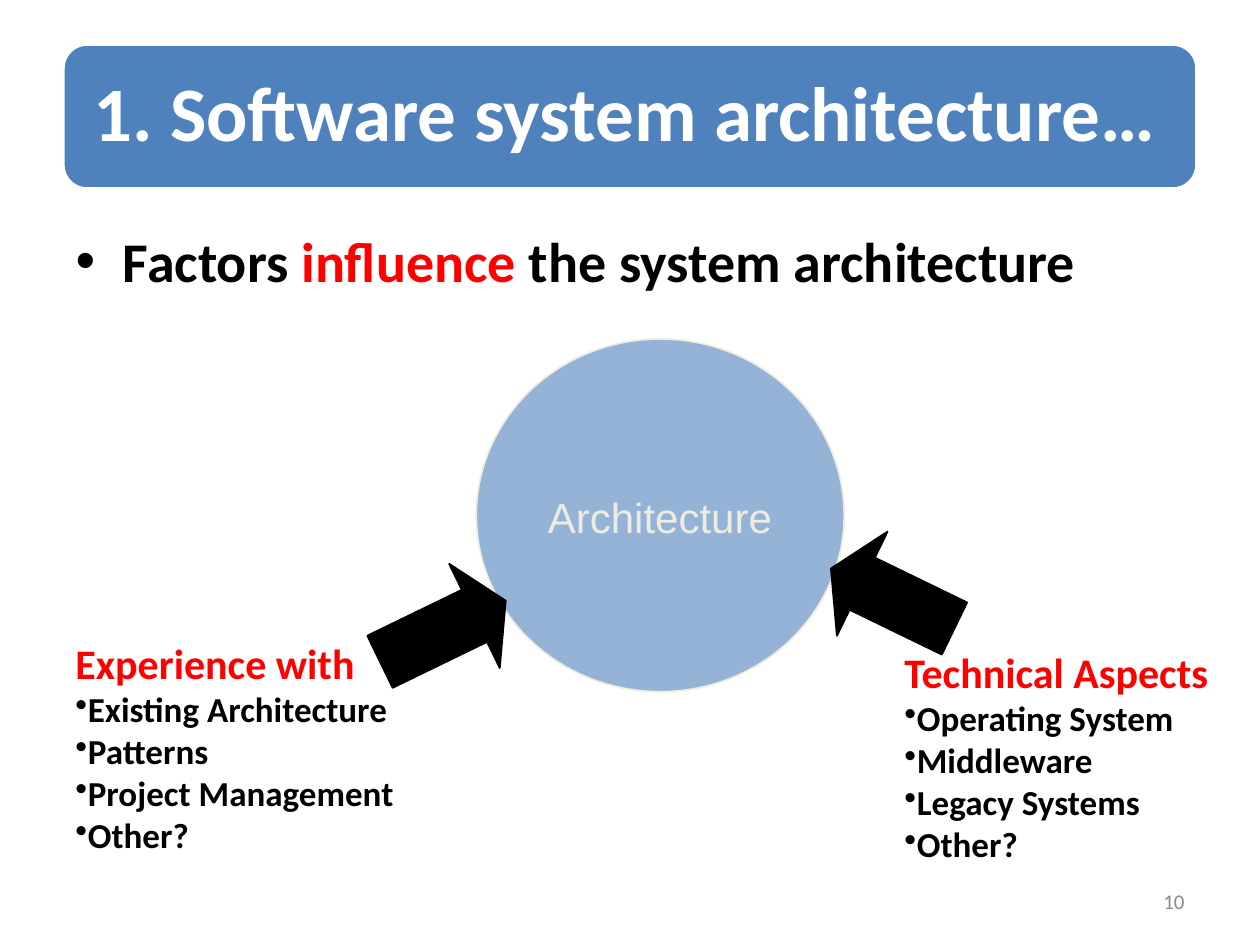
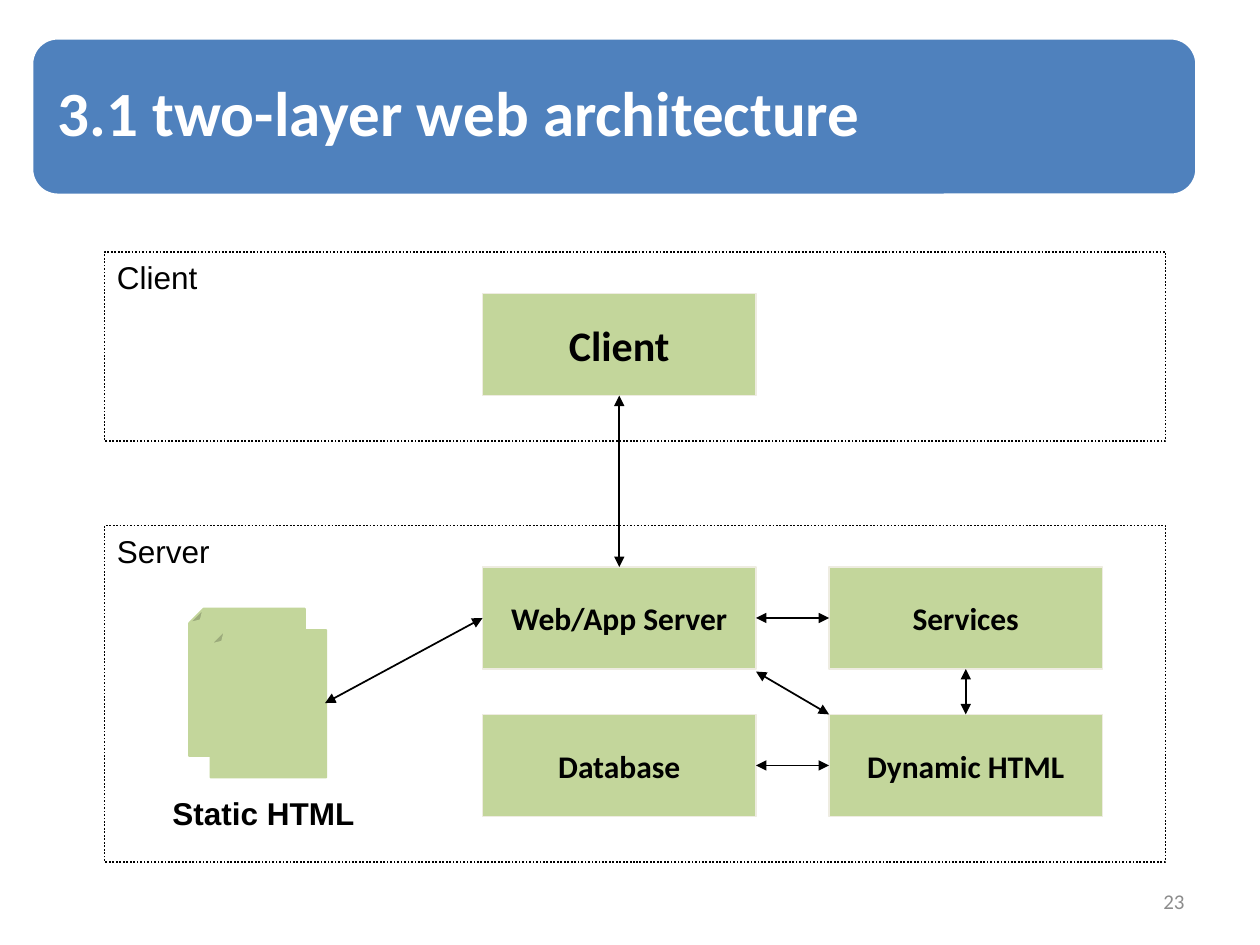
import pptx
import pptx.dml.color
import pptx.enum.dml
import pptx.enum.shapes
import pptx.enum.text
import pptx.oxml.ns
import pptx.util
from lxml import etree

Inches = pptx.util.Inches
Pt = pptx.util.Pt
SHAPE = pptx.enum.shapes.MSO_SHAPE
ALIGN = pptx.enum.text.PP_ALIGN
MIDDLE = pptx.enum.text.MSO_ANCHOR.MIDDLE
AUTO = pptx.enum.text.MSO_AUTO_SIZE
qn = pptx.oxml.ns.qn

COLORS = {
    "band": "4F81BD", "white": "FFFFFF", "black": "000000", "accent": "FF0000",
    "number": "8C8C8C", "circle": "95B3D7", "cream": "EEECE1", "node": "C3D69B",
}

FACTORS = {
    "title": "1. Software system architecture…", "size": 44, "inset": 0.18,
    "band": (0.5, 0.35, 9, 1.15), "number": "10",
}
STATEMENT = [("Factors", "black"), (" influence", "accent"),
             (" the system architecture", "black")]
INFLUENCES = [
    ("Experience with",
     ["Existing Architecture", "Patterns", "Project Management", "Other?"],
     (0.5, 5.01, 2.79, 1.85), (2.96, 4.55, 1.11, 0.92), 334.1),
    ("Technical Aspects",
     ["Operating System", "Middleware", "Legacy Systems", "Other?"],
     (7.08, 5.08, 2.67, 1.85), (6.54, 4.29, 1.09, 0.92), 205.9),
]

WEB = {
    "title": "3.1 two-layer web architecture", "size": 36, "inset": 0.15,
    "band": (0.25, 0.3, 9.25, 1.25), "number": "23",
}
ZONES = [("Client", 2, 1.5, 0.84), ("Server", 4.17, 2.67, 0.94)]
ZONE_LEFT, ZONE_WIDTH = 0.83, 8.42
NODES = [
    ("Client", 0, 0, 24), ("Web/App Server", 0, 1, 18), ("Database", 0, 2, 18),
    ("Services", 1, 1, 18), ("Dynamic HTML", 1, 2, 18),
]
COLUMNS, ROWS = (3.83, 6.58), (2.33, 4.5, 5.67)
NODE_WIDTH, NODE_HEIGHT = 2.17, 0.81
PAGES = [(1.5, 4.83), (1.67, 5)]
TOP, LEFT, BOTTOM, RIGHT = range(4)
LINKS = [
    (("Client", BOTTOM), ("Web/App Server", TOP)),
    ((2.58, 5.58), ("Web/App Server", LEFT)),
    (("Web/App Server", RIGHT), ("Services", LEFT)),
    (("Services", BOTTOM), ("Dynamic HTML", TOP)),
    (("Database", RIGHT), ("Dynamic HTML", LEFT)),
    ((6, 5.33), (6.58, 5.67)),
]


def rgb(color):
    return pptx.dml.color.RGBColor.from_string(COLORS[color])


def box(values):
    return [Inches(value) for value in values]


def add_run(paragraph, text, size, color="black", font="Calibri", bold=True):
    run = paragraph.add_run()
    run.text = text
    run.font.size, run.font.name, run.font.bold = Pt(size), font, bold
    run.font.color.rgb = rgb(color)


def add_figure(slide, kind, place, fill, line, width=1):
    figure = slide.shapes.add_shape(kind, *box(place))
    figure.shadow.inherit = False
    if fill:
        figure.fill.solid()
        figure.fill.fore_color.rgb = rgb(fill)
    else:
        figure.fill.background()
    figure.line.color.rgb = rgb(line)
    figure.line.width = Pt(width)
    return figure


def add_label(slide, place, text, size, **style):
    frame = slide.shapes.add_textbox(*box(place)).text_frame
    frame.word_wrap = False
    add_run(frame.paragraphs[0], text, size, **style)
    return frame


def start_slide(deck, layout, content):
    slide = deck.slides.add_slide(deck.slide_layouts[layout])
    left, top, width, height = content["band"]
    band = add_figure(slide, SHAPE.ROUNDED_RECTANGLE, content["band"], "band", "white", 2)
    slide.shapes._spTree.insert(2, band._element)

    title = slide.shapes.title
    title.left, title.top, title.width, title.height = box(
        (left + 0.06, top + 0.06, width - 0.12, height - 0.12))
    frame = title.text_frame
    frame.auto_size, frame.word_wrap = AUTO.NONE, True
    frame.vertical_anchor = MIDDLE
    frame.margin_left = frame.margin_right = Inches(content["inset"])
    frame.margin_top = frame.margin_bottom = Inches(content["inset"])
    heading = frame.paragraphs[0]
    heading.alignment, heading.line_spacing = ALIGN.LEFT, 0.9
    add_run(heading, content["title"], content["size"], "white")

    number = add_label(slide, (7.17, 6.95, 2.33, 0.4), content["number"], 12,
                       color="number", bold=False)
    number.word_wrap, number.vertical_anchor = True, MIDDLE
    number.paragraphs[0].alignment = ALIGN.RIGHT
    return slide


def add_link(slide, begin, end, nodes):
    link = slide.shapes.add_connector(
        pptx.enum.shapes.MSO_CONNECTOR.STRAIGHT,
        *box(point for stop in (begin, end)
             for point in ((0, 0) if stop[0] in nodes else stop)))
    if begin[0] in nodes:
        link.begin_connect(nodes[begin[0]], begin[1])
    if end[0] in nodes:
        link.end_connect(nodes[end[0]], end[1])
    link.line.color.rgb = rgb("black")
    link.line.width = Pt(1)
    outline = link.line._get_or_add_ln()
    for tip in ("a:headEnd", "a:tailEnd"):
        etree.SubElement(outline, qn(tip), type="triangle")
    etree.SubElement(link._element.spPr, qn("a:effectLst"))


def build_factors(deck):
    slide = start_slide(deck, 1, FACTORS)
    statement = slide.placeholders[1]
    statement.left, statement.top, statement.width, statement.height = box(
        (0.5, 1.75, 9, 4.95))
    for text, color in STATEMENT:
        add_run(statement.text_frame.paragraphs[0], text, 32, color)

    add_figure(slide, SHAPE.OVAL, (3.78, 2.69, 2.92, 2.8), "circle", "cream")
    add_label(slide, (4.25, 3.85, 1.98, 0.5), "Architecture", 24,
              color="cream", font="Arial", bold=False)

    for heading, items, list_place, arrow_place, angle in INFLUENCES:
        arrow = add_figure(slide, SHAPE.RIGHT_ARROW, arrow_place, "black", "black")
        arrow.adjustments[1] = 0.3
        arrow.rotation = angle
        factors = add_label(slide, list_place, heading, 24, color="accent")
        for item in items:
            paragraph = factors.add_paragraph()
            etree.SubElement(paragraph._p.get_or_add_pPr(), qn("a:buChar"), char="•")
            add_run(paragraph, item, 20)


def build_web(deck):
    slide = start_slide(deck, 5, WEB)
    for name, top, height, label_width in ZONES:
        zone = add_figure(slide, SHAPE.RECTANGLE,
                          (ZONE_LEFT, top, ZONE_WIDTH, height), None, "black")
        zone.line.dash_style = pptx.enum.dml.MSO_LINE.ROUND_DOT
        add_label(slide, (ZONE_LEFT, top, label_width, 0.4), name, 18,
                  font="Arial", bold=False)

    nodes = {}
    for name, column, row, size in NODES:
        node = add_figure(slide, SHAPE.RECTANGLE,
                          (COLUMNS[column], ROWS[row], NODE_WIDTH, NODE_HEIGHT),
                          "node", "cream")
        frame = node.text_frame
        frame.word_wrap, frame.vertical_anchor = False, MIDDLE
        frame.paragraphs[0].alignment = ALIGN.CENTER
        add_run(frame.paragraphs[0], name, size)
        nodes[name] = node

    for left, top in PAGES:
        page = add_figure(slide, SHAPE.FOLDED_CORNER, (left, top, 0.92, 1.17),
                          "node", "node")
        fold = next(page._element.iter(qn("a:avLst")))
        etree.SubElement(fold, qn("a:gd"), name="adj", fmla="val 12500")
        page.rotation = 180
    add_label(slide, (1.27, 6.25, 1.65, 0.4), "Static HTML", 18, font="Arial")

    for begin, end in LINKS:
        add_link(slide, begin, end, nodes)


def main():
    deck = pptx.Presentation()
    deck.slide_width, deck.slide_height = Inches(10), Inches(7.5)
    build_factors(deck)
    build_web(deck)
    deck.save("out.pptx")


if __name__ == "__main__":
    main()
